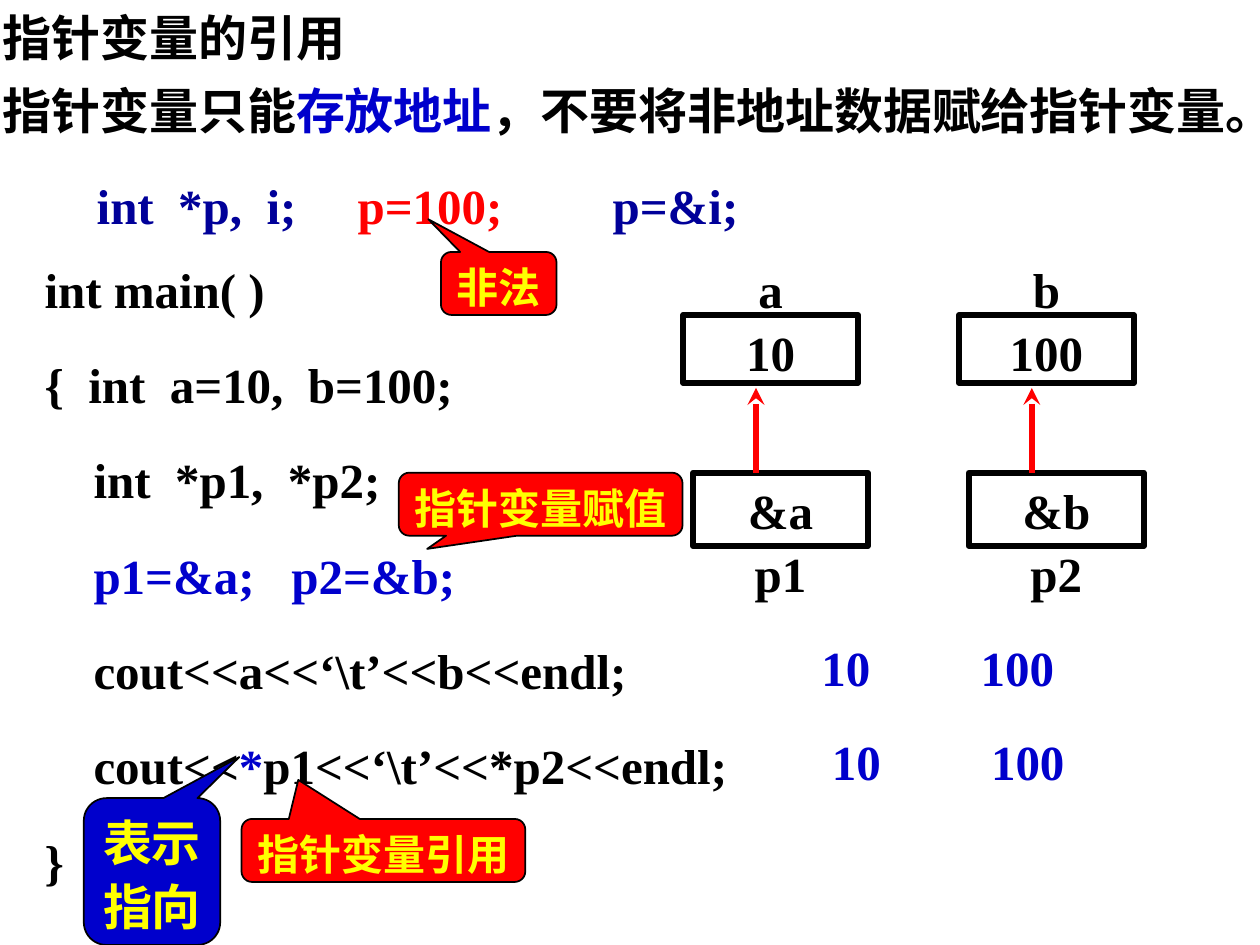
from dataclasses import dataclass

from lxml import etree
from pptx import Presentation
from pptx.dml.color import RGBColor
from pptx.enum.shapes import MSO_CONNECTOR, MSO_SHAPE
from pptx.enum.text import MSO_ANCHOR, PP_ALIGN
from pptx.oxml.ns import qn
from pptx.util import Cm, Pt

RECTANGLE = MSO_SHAPE.RECTANGLE
CALLOUT = MSO_SHAPE.ROUNDED_RECTANGULAR_CALLOUT
STRAIGHT = MSO_CONNECTOR.STRAIGHT
TOP = MSO_ANCHOR.TOP
LEFT, CENTER = PP_ALIGN.LEFT, PP_ALIGN.CENTER


@dataclass(frozen=True)
class Theme:
    font: str = "Times New Roman"
    body: Pt = Pt(28)
    label: Pt = Pt(24)
    gap: Pt = Pt(17.5)
    thick: Pt = Pt(3.25)
    thin: Pt = Pt(1)
    black: RGBColor = RGBColor(0, 0, 0)
    blue: RGBColor = RGBColor(0, 0, 0xCC)
    navy: RGBColor = RGBColor(0, 0, 0x99)
    red: RGBColor = RGBColor(0xFF, 0, 0)
    yellow: RGBColor = RGBColor(0xFF, 0xFF, 0)


theme = Theme()
prs = Presentation()
prs.slide_width, prs.slide_height = Cm(25.4), Cm(19.05)
slide = prs.slides.add_slide(prs.slide_layouts[6])
shapes = slide.shapes


def write(holder, lines, size=theme.body, align=LEFT, tabs=(), inset=0.05):
    frame = holder.text_frame
    frame.word_wrap = True
    frame.vertical_anchor = TOP
    frame.margin_left = frame.margin_right = Cm(inset)
    frame.margin_top = frame.margin_bottom = Cm(0.03)
    for index, pieces in enumerate(lines):
        paragraph = frame.add_paragraph() if index else frame.paragraphs[0]
        paragraph.alignment = align
        paragraph.line_spacing = 1.1
        if index:
            paragraph.space_before = theme.gap
        if tabs:
            stops = etree.SubElement(paragraph._p.get_or_add_pPr(), qn("a:tabLst"))
            for stop in tabs:
                etree.SubElement(stops, qn("a:tab"), pos=str(Cm(stop)), algn="l")
        paragraph.font.name = theme.font
        paragraph.font.size = size
        paragraph.font.bold = True
        for text, color in pieces:
            run = paragraph.add_run()
            run.text = text
            run.font.color.rgb = color


def add_box(preset, left, top, width, height, outline):
    box = shapes.add_shape(preset, Cm(left), Cm(top), Cm(width), Cm(height))
    box.shadow.inherit = False
    box.fill.background()
    box.line.color.rgb = theme.black
    box.line.width = outline
    return box


code = [
    [("int main( )", theme.black)],
    [("{  int  a=10,  b=100;", theme.black)],
    [("    int  *p1,  *p2;", theme.black)],
    [("    p1=&a;   p2=&b;", theme.blue)],
    [("    cout<<a<<‘\\t’<<b<<endl;", theme.black)],
    [("    cout<<", theme.black), ("*", theme.blue),
     ("p1<<‘\\t’<<*p2<<endl;", theme.black)],
    [("}", theme.black)],
]
rule = [("指针变量只能", theme.black), ("存放地址", theme.blue),
        ("，不要将非地址数据赋给指针变量。", theme.black)]
assignments = [("int  *p,  i;\t", theme.navy), ("p=100;\t", theme.red),
               ("p=&i;", theme.navy)]
output = [[("10\t100", theme.blue)]]

for left, top, width, height, lines, tabs in [
    (0, 0, 16.4, 1.37, [[("指针变量的引用", theme.black)]], ()),
    (0, 1.48, 25.4, 1.37, [rule], ()),
    (1.9, 3.39, 19.95, 1.37, [assignments], (5.26, 10.4)),
    (0.85, 5.08, 14.4, 12.9, code, ()),
    (16.51, 12.7, 6.35, 1.37, output, (3.21,)),
    (16.72, 14.6, 6.35, 1.37, output, (3.21,)),
]:
    passage = shapes.add_textbox(Cm(left), Cm(top), Cm(width), Cm(height))
    write(passage, lines, tabs=tabs)

column_step = 5.56
cell_width = 3.53
for column, (variable, value, pointer) in enumerate(
    [("a", "10", "p1"), ("b", "100", "p2")]
):
    variable_left = 13.77 + column * column_step
    pointer_left = 13.97 + column * column_step
    arrow_x = 15.24 + column * column_step

    for name, left, top in [(variable, variable_left, 5.08),
                            (pointer, pointer_left, 10.8)]:
        caption = shapes.add_textbox(Cm(left), Cm(top), Cm(cell_width), Cm(1.37))
        write(caption, [[(name, theme.black)]], align=CENTER)

    for content, left, top, height in [(value, variable_left, 6.35, 1.37),
                                       ("&" + variable, pointer_left, 9.53, 1.48)]:
        cell = add_box(RECTANGLE, left, top, cell_width, height, theme.thick)
        write(cell, [[(content, theme.black)]], align=CENTER)

    arrow = shapes.add_connector(STRAIGHT, Cm(arrow_x), Cm(9.53), Cm(arrow_x), Cm(7.82))
    arrow.line.color.rgb = theme.red
    arrow.line.width = theme.thick
    etree.SubElement(arrow.get_or_add_ln(), qn("a:tailEnd"), type="stealth")
    etree.SubElement(arrow._element.spPr, qn("a:effectLst"))

for remark, left, top, width, height, tip, color, size, inset in [
    ("非法", 8.89, 5.08, 2.33, 1.27, (-0.61, -1.02), theme.red, theme.label, 0),
    ("指针变量赋值", 8.04, 9.53, 5.72, 1.27, (-0.4, 0.71), theme.red, theme.label, 0),
    ("指针变量引用", 4.87, 16.51, 5.72, 1.27, (-0.3, -1.12), theme.red, theme.label, 0),
    ("表示指向", 1.69, 16.09, 2.75, 2.96, (0.64, -0.78), theme.blue, theme.body, 0.05),
]:
    callout = add_box(CALLOUT, left, top, width, height, theme.thin)
    callout.fill.solid()
    callout.fill.fore_color.rgb = color
    callout.adjustments[0], callout.adjustments[1] = tip
    write(callout, [[(remark, theme.yellow)]], size, CENTER, inset=inset)

prs.save("out.pptx")
